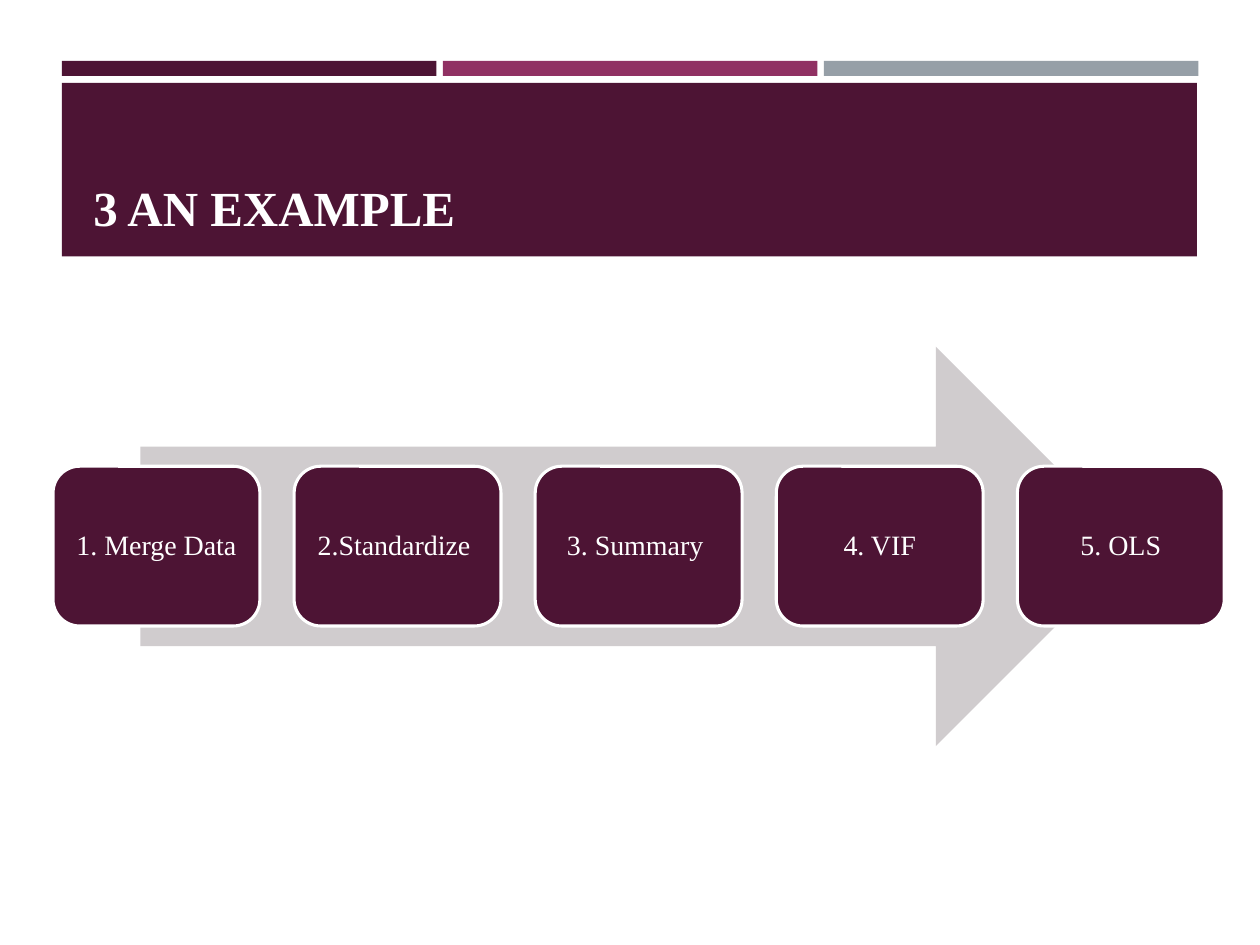
from pptx import Presentation
from pptx.dml.color import RGBColor
from pptx.enum.shapes import MSO_SHAPE
from pptx.enum.text import MSO_ANCHOR, PP_ALIGN
from pptx.util import Cm, Pt

PLUM, ROSE, STEEL = "4D1434", "903163", "969FA7"
GREY, WHITE = "D0CCCE", "FFFFFF"


def block(kind, left, top, width, height, fill):
    shape = slide.shapes.add_shape(kind, Cm(left), Cm(top), Cm(width), Cm(height))
    shape.shadow.inherit = False
    shape.fill.solid()
    shape.fill.fore_color.rgb = RGBColor.from_string(fill)
    shape.line.fill.background()
    return shape


def write(para, text, size, bold=False):
    run = para.add_run()
    run.text = text
    run.font.name = "Times New Roman"
    run.font.size = Pt(size)
    run.font.bold = bold
    run.font.color.rgb = RGBColor.from_string(WHITE)


deck = Presentation()
deck.slide_width, deck.slide_height = Cm(25.4), Cm(19.05)
slide = deck.slides.add_slide(deck.slide_layouts[5])

# Header: three strips over a banner
for i, fill in enumerate([PLUM, ROSE, STEEL]):
    block(MSO_SHAPE.RECTANGLE, 1.25 + i * 7.68, 1.23, 7.55, 0.3, fill)
block(MSO_SHAPE.RECTANGLE, 1.25, 1.67, 22.88, 3.5, PLUM)

title = slide.shapes.title
title.left, title.top = Cm(1.63), Cm(1.9)
title.width, title.height = Cm(22.2), Cm(3)
frame = title.text_frame
frame.vertical_anchor = MSO_ANCHOR.BOTTOM
frame.paragraphs[0].alignment = PP_ALIGN.LEFT
write(frame.paragraphs[0], "3 AN EXAMPLE", 28, True)
# Bring the title in front of the banner
title.element.getparent().append(title.element)

# Process: five steps on an arrow
block(MSO_SHAPE.RIGHT_ARROW, 2.83, 6.99, 20.06, 8.05, GREY)
steps = ["1. Merge Data", "2.Standardize ", "3. Summary ", "4. VIF", "5. OLS"]
for i, step in enumerate(steps):
    box = block(MSO_SHAPE.ROUNDED_RECTANGLE, 1.07 + i * 4.86, 9.4, 4.17, 3.22, PLUM)
    box.line.color.rgb = RGBColor.from_string(WHITE)
    box.line.width = Pt(1.75)
    frame = box.text_frame
    frame.word_wrap = True
    frame.vertical_anchor = MSO_ANCHOR.MIDDLE
    frame.margin_left = frame.margin_right = Cm(0.18)
    frame.margin_top = frame.margin_bottom = Cm(0.18)
    para = frame.paragraphs[0]
    para.alignment = PP_ALIGN.CENTER
    para.line_spacing = 0.9
    write(para, step, 16)

deck.save("out.pptx")
